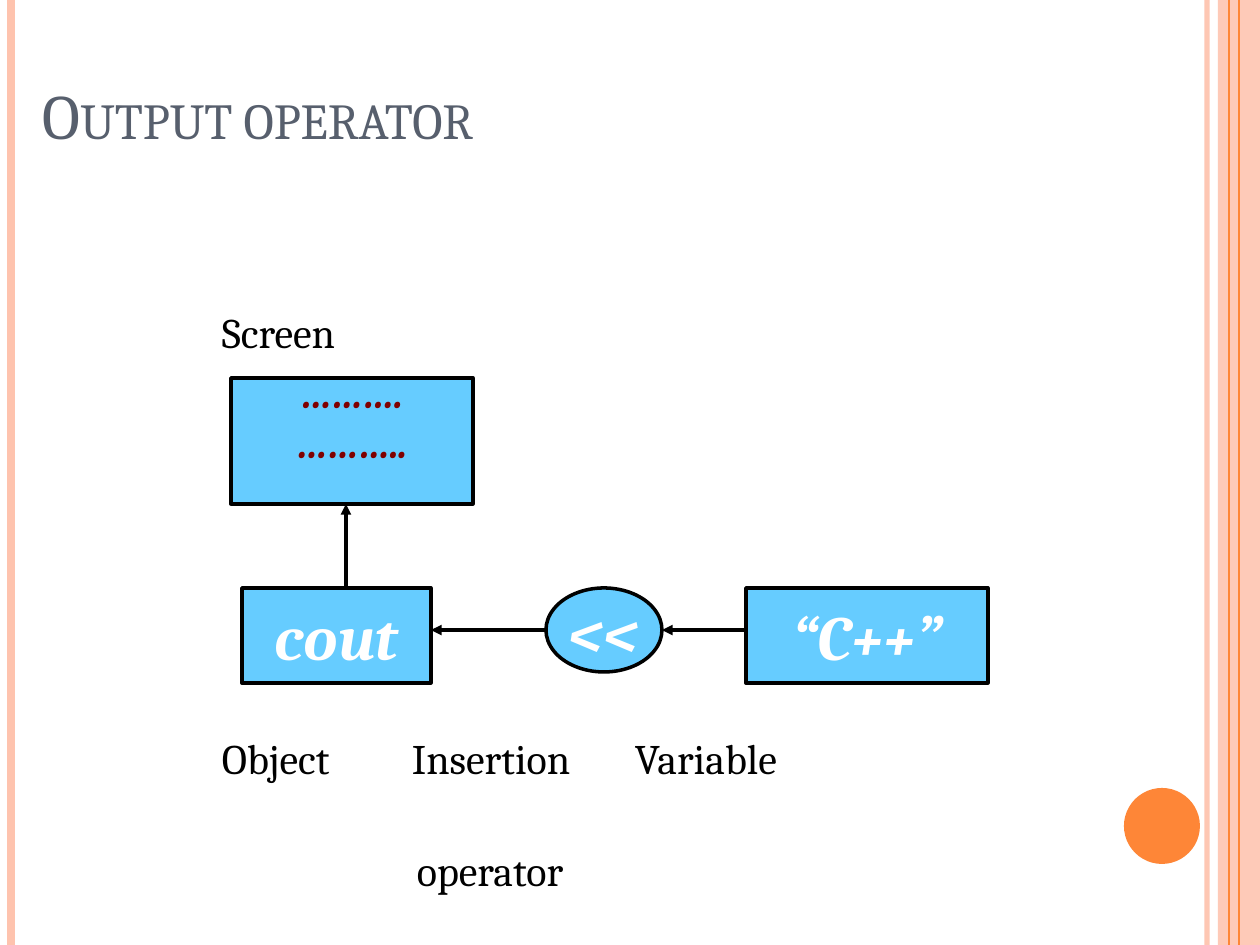
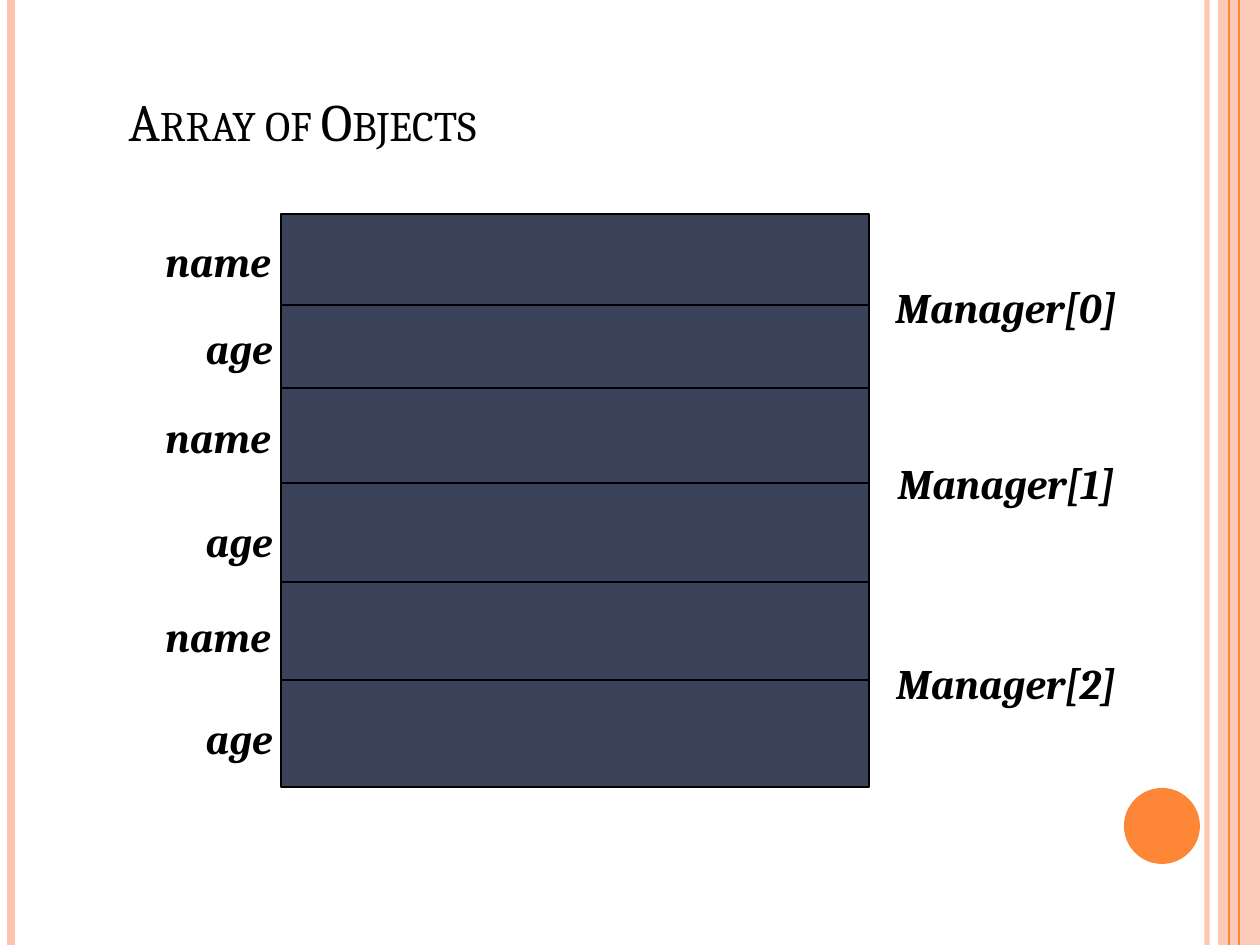
"""Build two C++ lecture slides: the output operator and an array of objects."""
from dataclasses import dataclass
from typing import NamedTuple, Optional

from lxml.etree import SubElement
from pptx import Presentation
from pptx.dml.color import RGBColor
from pptx.enum.shapes import MSO_CONNECTOR, MSO_SHAPE
from pptx.enum.text import MSO_ANCHOR, MSO_AUTO_SIZE, PP_ALIGN
from pptx.oxml.ns import qn
from pptx.util import Emu, Pt

WIDTH, HEIGHT = 1260, 945
EMU_PER_PX = 914400 / 126


@dataclass(frozen=True)
class Theme:
    """Colours, font and type sizes of the deck."""
    font: str = "Cambria"
    ink: str = "000000"
    white: str = "FFFFFF"
    slate: str = "575F6D"
    maroon: str = "800000"
    sky: str = "66CCFF"
    navy: str = "3B435B"
    peach: str = "FEC3AE"
    orange: str = "FE8637"
    title: int = 36
    subtitle: int = 30
    code: int = 36
    label: int = 24
    thin: float = 0.75
    thick: float = 2


class Box(NamedTuple):
    """Left, top, width and height in pixels."""
    x: int
    y: int
    w: int
    h: int


class Rule(NamedTuple):
    """A full-height vertical rule of the frame."""
    x: int
    color: str
    width: float
    alpha: int = 100


class Node(NamedTuple):
    """A filled box of the diagram with its text."""
    kind: MSO_SHAPE
    box: Box
    text: str
    size: int
    color: str
    bottom: int = 6


class Label(NamedTuple):
    """A piece of text and where its box stands."""
    text: str
    x: int
    y: int


T = Theme()
RULES = [Rule(1207, T.peach, 3, 93), Rule(11, T.peach, 4.5),
         Rule(1239, T.orange, 1.5), Rule(1229, T.orange, T.thin)]
NODES = [
    Node(MSO_SHAPE.RECTANGLE, Box(231, 378, 242, 126), "……….\n………..", T.label, T.maroon, 55),
    Node(MSO_SHAPE.RECTANGLE, Box(242, 588, 189, 95), "cout", T.code, T.white),
    Node(MSO_SHAPE.OVAL, Box(546, 588, 116, 84), "<<", T.code, T.white),
    Node(MSO_SHAPE.RECTANGLE, Box(746, 588, 242, 95), "“C++”", T.code, T.white),
]
ARROWS = [(746, 630, 662, 630), (546, 630, 431, 630), (346, 588, 346, 504)]
CAPTIONS = [Label("Screen", 222, 306), Label("Object", 222, 732),
            Label("Insertion", 412, 732), Label("Variable", 635, 732),
            Label("operator", 417, 844)]
ARRAY = Box(281, 214, 588, 573)
ROW_LINES = [305, 388, 483, 582, 680]
FIELD_X = {"name": 134, "age": 155}
FIELD_TOPS = [234, 321, 410, 514, 609, 711]
MANAGER_TOPS = [275, 451, 651]


def px(n: float) -> Emu:
    """Turn pixels into EMU."""
    return Emu(round(n * EMU_PER_PX))


def rgb(color: str) -> RGBColor:
    """Turn a hex string into a colour."""
    return RGBColor.from_string(color)


def write(sp, text: str, *, size: int = T.label, color: str = T.ink,
          bold: bool = False, italic: bool = False, small_caps: bool = False,
          align=PP_ALIGN.CENTER, anchor=MSO_ANCHOR.MIDDLE, wrap: bool = False) -> None:
    """Fill a shape with formatted text, one paragraph a line."""
    tf = sp.text_frame
    tf.auto_size, tf.word_wrap, tf.vertical_anchor = MSO_AUTO_SIZE.NONE, wrap, anchor
    for i, line in enumerate(text.split("\n")):
        p = tf.add_paragraph() if i else tf.paragraphs[0]
        p.alignment = align
        r = p.add_run()
        r.text = line
        r.font.name, r.font.size = T.font, Pt(size)
        r.font.bold, r.font.italic = bold, italic
        r.font.color.rgb = rgb(color)
    if small_caps:
        for props in sp.element.iter(qn("a:rPr")):
            props.set("cap", "small")


def fade(sp, alpha: int) -> None:
    """Give the explicit colours of a shape an opacity in percent."""
    for clr in sp.element.spPr.iter(qn("a:srgbClr")):
        SubElement(clr, qn("a:alpha")).set("val", str(alpha * 1000))


def add_box(s, kind, box: Box, fill: str, line: Optional[str] = None, width: float = T.thick):
    """Add a flat preset shape."""
    sp = s.shapes.add_shape(kind, *map(px, box))
    sp.shadow.inherit = False
    sp.fill.solid()
    sp.fill.fore_color.rgb = rgb(fill)
    if line:
        sp.line.color.rgb, sp.line.width = rgb(line), Pt(width)
    else:
        sp.line.fill.background()
    return sp


def add_line(s, x1: int, y1: int, x2: int, y2: int, color: str = T.ink,
             width: float = T.thin, arrow: bool = False):
    """Add a straight connector, with an arrowhead at its end if asked."""
    c = s.shapes.add_connector(MSO_CONNECTOR.STRAIGHT, *map(px, (x1, y1, x2, y2)))
    c.line.color.rgb, c.line.width = rgb(color), Pt(width)
    if arrow:
        SubElement(c.element.spPr.find(qn("a:ln")), qn("a:tailEnd")).set("type", "triangle")
    SubElement(c.element.spPr, qn("a:effectLst"))
    return c


def add_label(s, text: str, box: Box, **fmt):
    """Add a text box."""
    sp = s.shapes.add_textbox(*map(px, box))
    write(sp, text, **fmt)
    return sp


def add_title(s, text: str, box: Box, size: int, color: str) -> None:
    """Place and format the title placeholder."""
    sp = s.shapes.title
    sp.left, sp.top, sp.width, sp.height = map(px, box)
    write(sp, text, size=size, color=color, small_caps=True,
          align=PP_ALIGN.LEFT, anchor=MSO_ANCHOR.BOTTOM, wrap=True)


def add_frame(s, layout) -> None:
    """Draw the side bands and the disc, and hand them to the layout."""
    for ph in list(layout.placeholders)[1:]:
        ph.element.getparent().remove(ph.element)
    band = add_box(s, MSO_SHAPE.RECTANGLE, Box(1218, 0, 42, HEIGHT), T.peach)
    fade(band, 87)
    parts = [band]
    for rule in RULES:
        c = add_line(s, rule.x, 0, rule.x, HEIGHT, rule.color, rule.width)
        if rule.alpha < 100:
            fade(c, rule.alpha)
        parts.append(c)
    parts.append(add_box(s, MSO_SHAPE.OVAL, Box(1124, 788, 76, 76), T.orange))
    for sp in parts:
        layout.shapes.element.append(sp.element)


def draw_output_operator(s) -> None:
    """Draw the flow from the variable through cout to the screen."""
    add_title(s, "Output operator", Box(30, 0, 1137, 158), T.title, T.slate)
    for label in CAPTIONS:
        sp = add_label(s, label.text, Box(label.x, label.y, 190, 52), align=PP_ALIGN.LEFT, wrap=True)
        sp.text_frame.margin_left = 0
    for node in NODES:
        sp = add_box(s, node.kind, node.box, T.sky, T.ink)
        write(sp, node.text, size=node.size, color=node.color, bold=True, italic=True)
        sp.text_frame.margin_bottom = px(node.bottom)
    for ends in ARROWS:
        add_line(s, *ends, width=T.thick, arrow=True)


def draw_array(s) -> None:
    """Draw the array in memory with its fields and elements."""
    add_title(s, "Array of Objects", Box(116, 0, 1071, 158), T.subtitle, T.ink)
    add_box(s, MSO_SHAPE.RECTANGLE, ARRAY, T.navy, T.ink, T.thin)
    for y in ROW_LINES:
        add_line(s, ARRAY.x, y, ARRAY.x + ARRAY.w, y)
    for i, y in enumerate(FIELD_TOPS):
        field = list(FIELD_X)[i % 2]
        add_label(s, field, Box(FIELD_X[field], y, 168, 53), bold=True, italic=True)
    for i, y in enumerate(MANAGER_TOPS):
        add_label(s, f"Manager[{i}]", Box(896, y, 220, 63), bold=True, italic=True)


def main() -> None:
    """Build and save the deck."""
    prs = Presentation()
    prs.slide_width, prs.slide_height = px(WIDTH), px(HEIGHT)
    layout = prs.slide_layouts[5]
    for i, draw in enumerate((draw_output_operator, draw_array)):
        s = prs.slides.add_slide(layout)
        if i == 0:
            add_frame(s, layout)
        draw(s)
    prs.save("out.pptx")


main()
